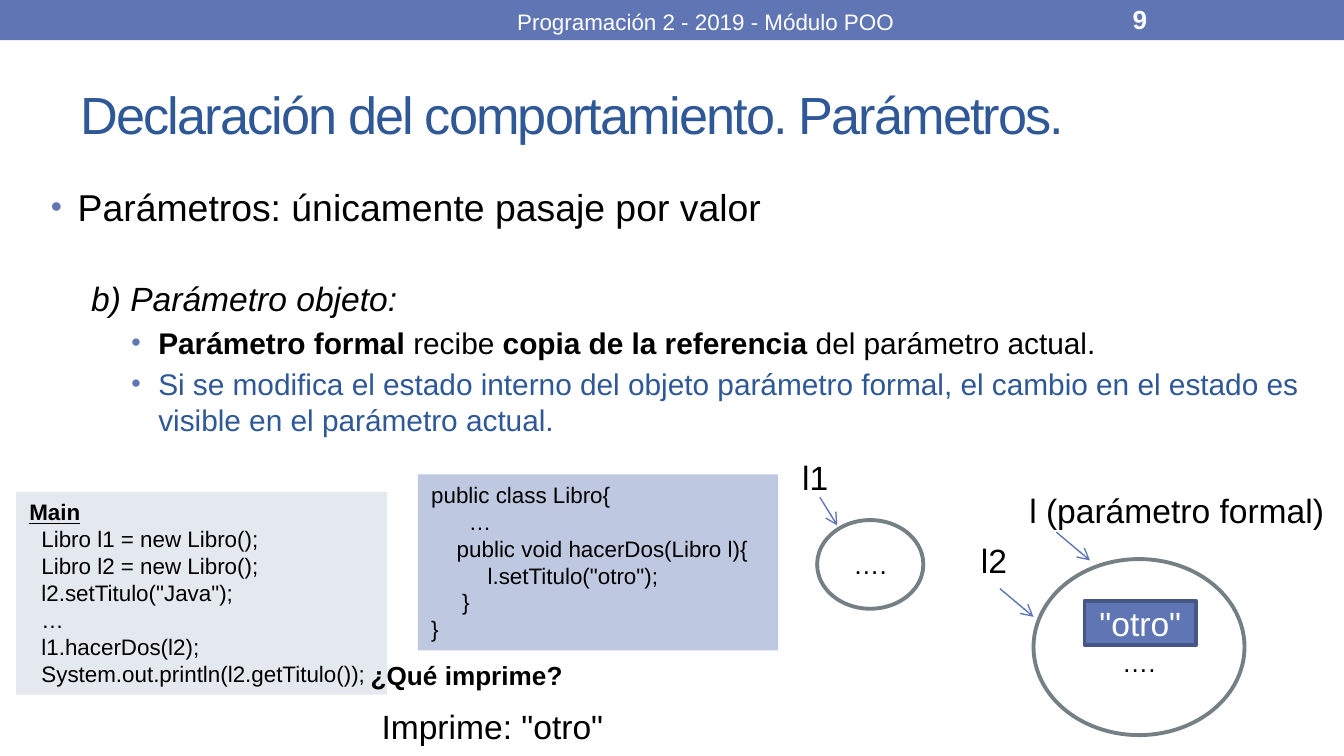
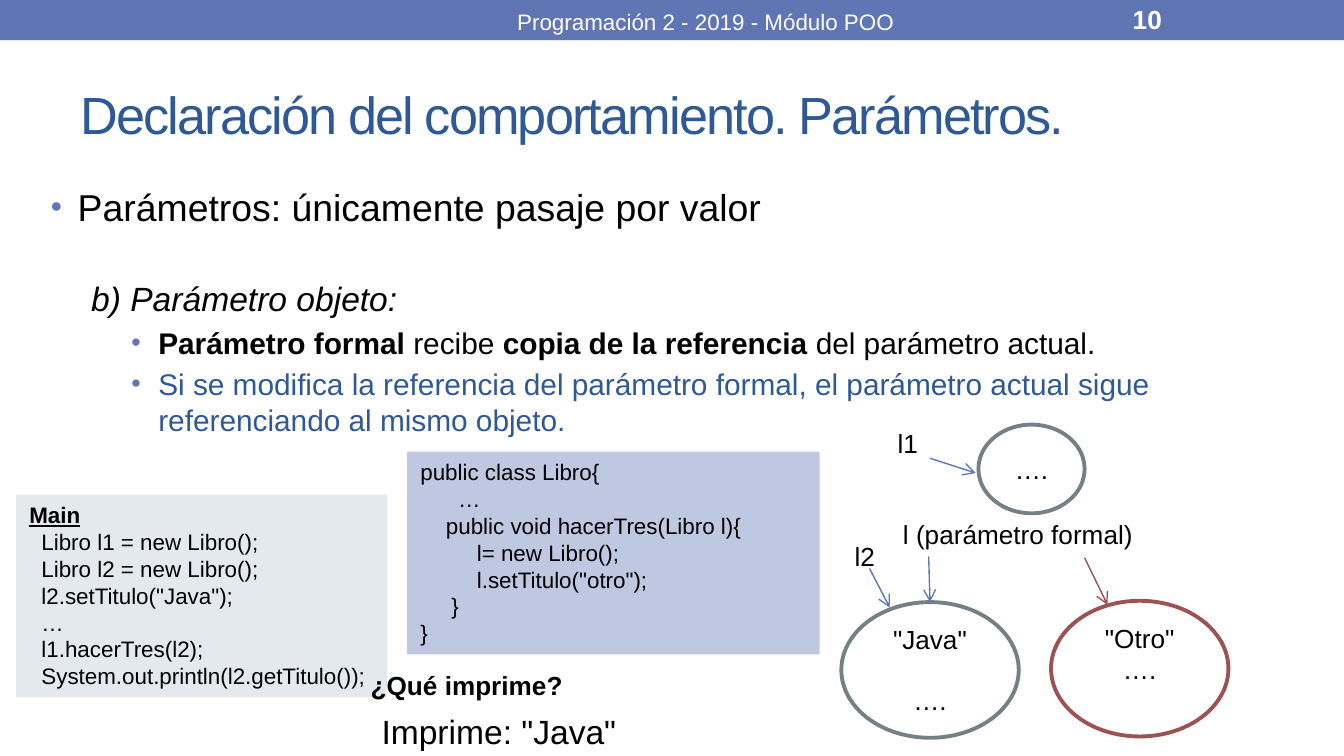
from dataclasses import dataclass, field

from lxml import etree
from pptx import Presentation
from pptx.dml.color import RGBColor
from pptx.enum.shapes import MSO_CONNECTOR as Connector, MSO_SHAPE as Shape
from pptx.enum.text import MSO_ANCHOR as Anchor, PP_ALIGN as Align
from pptx.oxml.ns import qn
from pptx.util import Inches, Pt

BLUE = RGBColor(0x60, 0x76, 0xB4)
DARK_BLUE = RGBColor(0x47, 0x57, 0x85)
TITLE_BLUE = RGBColor(0x2F, 0x58, 0x97)
CODE_BLUE = RGBColor(0xBF, 0xC8, 0xE1)
MAIN_GRAY = RGBColor(0xE4, 0xE9, 0xEF)
GRAY = RGBColor(0x75, 0x80, 0x85)
RED = RGBColor(0x9C, 0x52, 0x52)
BLACK = RGBColor(0, 0, 0)
WHITE = RGBColor(0xFF, 0xFF, 0xFF)

FONT = "Arial"
TITLE = "Declaración del comportamiento. Parámetros."
FOOTER = "Programación 2 - 2019 - Módulo POO"
OUTLINE = 2.08
STEP, MEMBER, CLOSE, DOTS, STATEMENT = 0.09, 0.19, 0.23, 0.28, 0.42

Box = tuple[float, float, float, float]
Point = tuple[float, float]


@dataclass
class Run:
    text: str
    size: float = 12
    color: RGBColor = BLACK
    style: dict = field(default_factory=dict)


@dataclass
class Para:
    runs: list[Run]
    left: float = 0
    hanging: float = 0
    before: float = 0
    bullet: int = 0
    align: Align = Align.LEFT


@dataclass
class Node:
    at: Box
    paras: list[Para]
    line: RGBColor = GRAY
    fill: RGBColor = WHITE
    kind: Shape = Shape.OVAL
    insets: dict = field(default_factory=dict)


@dataclass
class Arrow:
    start: Point
    end: Point
    color: RGBColor = BLUE


@dataclass
class Label:
    text: str
    at: Box


@dataclass
class Page:
    number: int
    body_width: float
    rule: str
    method: str
    main_top: float
    class_at: Box
    class_body: list[str]
    question_top: float
    answer: str
    answer_top: float
    label_size: float
    labels: list[Label]
    nodes: list[Node]
    arrows: list[Arrow]


def line(text: str, size: float = 12, color: RGBColor = BLACK,
         left: float = 0, **style) -> Para:
    return Para([Run(text, size, color, style)], left)


def centered(text: str, size: float = 14, color: RGBColor = BLACK,
             before: float = 0) -> Para:
    return Para([Run(text, size, color)], before=before, align=Align.CENTER)


def write(s, paras: list[Para], anchor: Anchor = Anchor.TOP,
          wrap: bool = True, insets: dict | None = None) -> None:
    tf = s.text_frame
    tf.word_wrap = wrap
    tf.vertical_anchor = anchor
    for name, value in (insets or {}).items():
        setattr(tf, name, value)
    for i, para in enumerate(paras):
        p = tf.add_paragraph() if i else tf.paragraphs[0]
        p.alignment = para.align
        p.space_before = Pt(para.before)
        pr = p._p.get_or_add_pPr()
        pr.set("marL", str(Inches(para.left)))
        pr.set("indent", str(Inches(para.hanging)))
        if para.bullet:
            color = etree.SubElement(pr, qn("a:buClr"))
            etree.SubElement(color, qn("a:srgbClr"), val=str(BLUE))
            etree.SubElement(pr, qn("a:buSzPct"), val=str(para.bullet * 1000))
            etree.SubElement(pr, qn("a:buFont"), typeface=FONT)
            etree.SubElement(pr, qn("a:buChar"), char="•")
        for run in para.runs:
            r = p.add_run()
            r.text = run.text
            formats = {"name": FONT, "size": Pt(run.size), **run.style}
            for name, value in formats.items():
                setattr(r.font, name, value)
            r.font.color.rgb = run.color


def add_text(slide, at: Box, paras: list[Para],
             anchor: Anchor = Anchor.TOP, wrap: bool = True):
    s = slide.shapes.add_textbox(*map(Inches, at))
    write(s, paras, anchor, wrap)
    return s


def add_box(slide, at: Box, fill: RGBColor, kind: Shape = Shape.RECTANGLE,
            outline: RGBColor | None = None):
    s = slide.shapes.add_shape(kind, *map(Inches, at))
    s.shadow.inherit = False
    s.fill.solid()
    s.fill.fore_color.rgb = fill
    if outline is None:
        s.line.fill.background()
    else:
        s.line.color.rgb = outline
        s.line.width = Pt(OUTLINE)
    return s


def add_node(slide, node: Node) -> None:
    s = add_box(slide, node.at, node.fill, node.kind, node.line)
    write(s, node.paras, Anchor.MIDDLE, insets=node.insets)


def add_arrow(slide, arrow: Arrow) -> None:
    s = slide.shapes.add_connector(
        Connector.STRAIGHT, *map(Inches, arrow.start + arrow.end))
    s.line.color.rgb = arrow.color
    s.line.width = Pt(0.75)
    etree.SubElement(s.line._get_or_add_ln(), qn("a:tailEnd"), type="arrow")
    etree.SubElement(s._element.spPr, qn("a:effectLst"))


def add_frame(slide, number: int) -> None:
    add_box(slide, (0, 0, 10, 0.3), BLUE)
    title = add_text(slide, (0.5, 0.44, 9, 0.81),
                     [line(TITLE, 28, TITLE_BLUE)], Anchor.MIDDLE)
    r = title.text_frame.paragraphs[0].runs[0]
    r._r.get_or_add_rPr().set("spc", "-100")
    add_text(slide, (8.33, 0.01, 1.17, 0.27),
             [line(str(number), 14, WHITE, bold=True)], Anchor.MIDDLE)
    add_text(slide, (3.75, 0.01, 4.5, 0.27), [line(FOOTER, 12, WHITE)])


def add_body(slide, page: Page) -> None:
    bold = {"bold": True}
    formal = [Run("Parámetro formal ", 16, style=bold), Run("recibe ", 16),
              Run("copia de la referencia ", 16, style=bold),
              Run("del parámetro actual.", 16)]
    rule = [Run(page.rule, 16, TITLE_BLUE)]
    intro = [Run("Parámetros: únicamente pasaje por valor", 20)]
    case = [Run("b) Parámetro objeto:", 18, style={"italic": True})]
    add_text(slide, (0.28, 1.32, page.body_width, 4), [
        Para(intro, 0.2, -0.2, 3.5, 85),
        Para(case, 0.3, before=26.5),
        Para(formal, 0.8, -0.2, 3, 90),
        Para(rule, 0.8, -0.2, 3, 90),
    ])


def add_code(slide, page: Page) -> None:
    steps = ["Libro l1 = new Libro();", "Libro l2 = new Libro();",
             'l2.setTitulo("Java");', "…", f"l1.{page.method}(l2);",
             "System.out.println(l2.getTitulo());"]
    main = add_box(slide, (0.12, page.main_top, 2.76, 1.51), MAIN_GRAY)
    write(main, [line("Main", bold=True, underline=True)]
          + [line(step, left=STEP) for step in steps])
    libro = add_box(slide, page.class_at, CODE_BLUE)
    write(libro, [
        line("public class Libro{"),
        line("…", left=DOTS),
        line(f"public void {page.method}(Libro l){{", left=MEMBER),
        *[line(text, left=STATEMENT) for text in page.class_body],
        line("}", left=CLOSE),
        line("}"),
    ])


def add_page(prs, page: Page) -> None:
    slide = prs.slides.add_slide(prs.slide_layouts[6])
    add_frame(slide, page.number)
    add_body(slide, page)
    add_code(slide, page)
    for node in page.nodes:
        add_node(slide, node)
    for label in page.labels:
        add_text(slide, label.at, [line(label.text, page.label_size)], wrap=False)
    for arrow in page.arrows:
        add_arrow(slide, arrow)
    add_text(slide, (2.66, page.question_top, 1.73, 0.34),
             [line("¿Qué imprime?", 14, bold=True)])
    add_text(slide, (2.74, page.answer_top, 1.95, 0.4),
             [line(f'Imprime: "{page.answer}"', 18)])


PAGES = [
    Page(
        number=9, body_width=9.84,
        rule="Si se modifica el estado interno del objeto parámetro formal, "
             "el cambio en el estado es visible en el parámetro actual.",
        method="hacerDos", main_top=3.66, class_at=(3.11, 3.53, 2.68, 1.31),
        class_body=['l.setTitulo("otro");'],
        question_top=4.86, answer="otro", answer_top=5.2, label_size=18,
        labels=[
            Label("l1", (5.87, 3.35, 0.47, 0.4)),
            Label("l2", (7.2, 3.97, 0.47, 0.4)),
            Label("l (parámetro formal)", (7.56, 3.6, 2.49, 0.4)),
        ],
        nodes=[
            Node((6.08, 3.87, 0.79, 0.66), [centered("….")]),
            Node((7.69, 4.16, 1.57, 1.31), [centered("….")],
                 insets={"margin_top": Inches(0.27)}),
            Node((8.07, 4.47, 0.83, 0.33), [centered('"otro"', 18, WHITE)],
                 DARK_BLUE, BLUE, Shape.RECTANGLE),
        ],
        arrows=[
            Arrow((6.1, 3.7), (6.23, 3.91)),
            Arrow((7.44, 4.38), (7.69, 4.59)),
            Arrow((7.86, 3.96), (8.11, 4.17)),
        ],
    ),
    Page(
        number=10, body_width=9.72,
        rule="Si se modifica la referencia del parámetro formal, "
             "el parámetro actual sigue referenciando al mismo objeto.",
        method="hacerTres", main_top=3.68, class_at=(3.03, 3.36, 3.07, 1.51),
        class_body=["l= new Libro();", 'l.setTitulo("otro");'],
        question_top=4.93, answer="Java", answer_top=5.24, label_size=14,
        labels=[
            Label("l1", (6.58, 3.13, 0.41, 0.34)),
            Label("l2", (6.26, 3.97, 0.41, 0.34)),
            Label("l (parámetro formal)", (6.62, 3.81, 1.92, 0.34)),
        ],
        nodes=[
            Node((7.28, 3.16, 0.79, 0.66), [centered("….")]),
            Node((6.26, 4.48, 1.32, 1.01),
                 [centered('"Java"'), centered("….", before=16)]),
            Node((7.82, 4.47, 1.32, 1.01),
                 [centered('"Otro"'), centered("….")], RED,
                 insets={"margin_bottom": Inches(0.27)}),
        ],
        arrows=[
            Arrow((6.92, 3.41), (7.26, 3.52)),
            Arrow((6.47, 4.23), (6.62, 4.52)),
            Arrow((6.91, 4.14), (6.92, 4.48)),
            Arrow((8.07, 4.15), (8.24, 4.5), RED),
        ],
    ),
]


def main() -> None:
    prs = Presentation()
    prs.slide_width = Inches(10)
    prs.slide_height = prs.slide_width * 9 // 16
    for page in PAGES:
        add_page(prs, page)
    prs.save("out.pptx")


if __name__ == "__main__":
    main()
